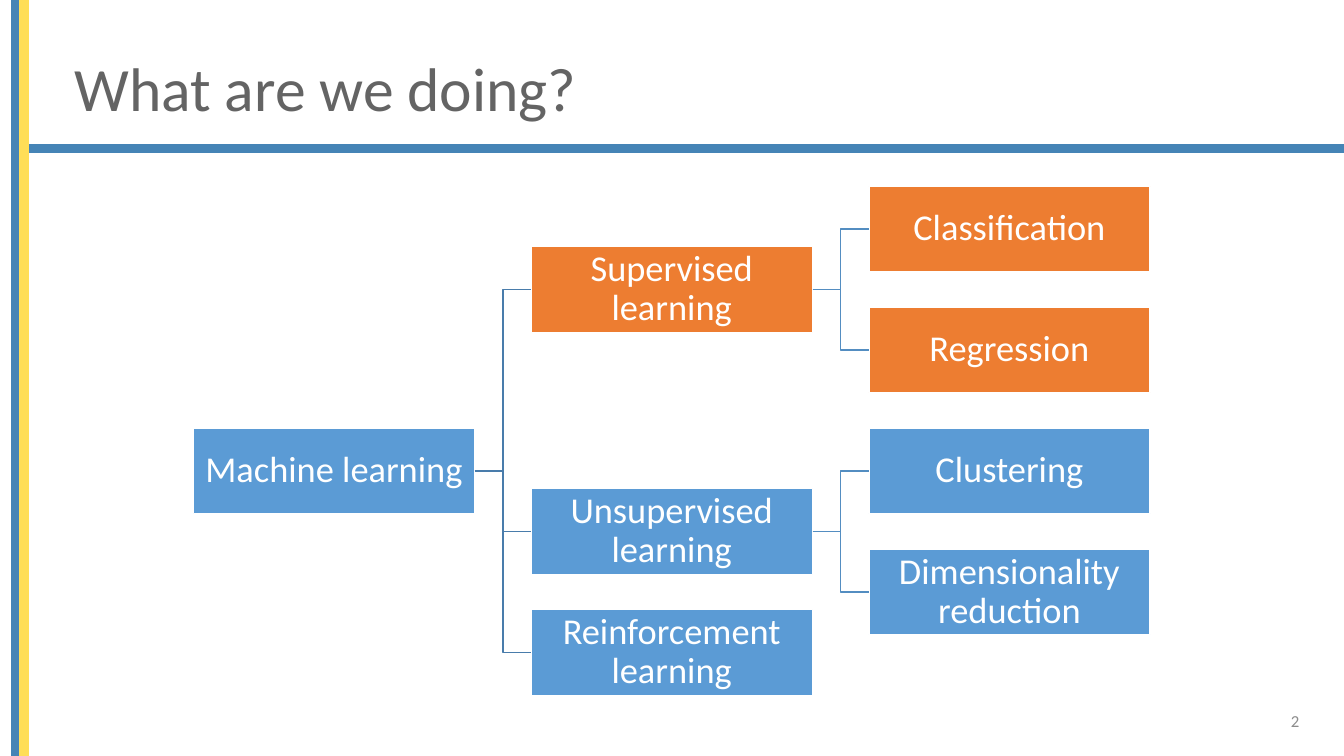
from pptx import Presentation
from pptx import util as u
from pptx.dml.color import RGBColor
from pptx.enum import shapes, text
from pptx.oxml.ns import qn
from lxml import etree

Pt = u.Pt
BLUE_BAR = RGBColor(0x45, 0x84, 0xB6)
YELLOW_BAR = RGBColor(0xFF, 0xDE, 0x57)
TITLE_GREY = RGBColor(0x64, 0x64, 0x64)
NUMBER_GREY = RGBColor(0x8C, 0x8C, 0x8C)
WHITE = RGBColor(0xFF, 0xFF, 0xFF)
BLUE = RGBColor(0x5B, 0x9B, 0xD5)
ORANGE = RGBColor(0xED, 0x7D, 0x31)
BRANCH_LINES = [RGBColor(0x49, 0x7C, 0xAB), RGBColor(0x53, 0x8D, 0xC1)]

deck = Presentation()
deck.slide_width, deck.slide_height = Pt(960), Pt(540)
slide = deck.slides.add_slide(deck.slide_layouts[6])


def add_box(left, top, width, height, fill, line):
    box = slide.shapes.add_shape(
        shapes.MSO_SHAPE.RECTANGLE, Pt(left), Pt(top), Pt(width), Pt(height))
    box.shadow.inherit = False
    box.fill.solid()
    box.fill.fore_color.rgb = fill
    box.line.color.rgb = line
    box.line.width = Pt(1)
    return box


def write(shape, words, size, color, align, spacing=0.9, inset=None):
    frame = shape.text_frame
    frame.word_wrap = True
    frame.vertical_anchor = text.MSO_ANCHOR.MIDDLE
    if inset is not None:
        frame.margin_left = frame.margin_right = Pt(inset)
        frame.margin_top = frame.margin_bottom = Pt(inset)
    paragraph = frame.paragraphs[0]
    paragraph.alignment = align
    paragraph.line_spacing = spacing
    run = paragraph.add_run()
    run.text = words
    run.font.name = "Calibri"
    run.font.size = Pt(size)
    run.font.color.rgb = color


for left, top, width, height, color in [
    (13.3, 103.3, 946.7, 5.8, BLUE_BAR),
    (8.6, 0, 5.8, 540, BLUE_BAR),
    (14.4, 0, 5.8, 540, YELLOW_BAR),
]:
    add_box(left, top, width, height, color, color)

title = slide.shapes.add_textbox(Pt(46), Pt(28.8), Pt(848), Pt(72.7))
write(title, "What are we doing?", size=44, color=TITLE_GREY, align=text.PP_ALIGN.LEFT)

page_number = slide.shapes.add_textbox(Pt(719.3), Pt(500.4), Pt(216), Pt(28.8))
write(page_number, "2", size=12, color=NUMBER_GREY, align=text.PP_ALIGN.RIGHT, spacing=1)

TREE_LEFT, TREE_TOP = 138.2, 133
BOX_WIDTH, BOX_HEIGHT = 201, 61.2
COLUMN_STEP, HALF_ROW = 241.2, 43.2

topics = [
    ("Machine learning", None, 0, 4, BLUE),
    ("Supervised learning", "Machine learning", 1, 1, ORANGE),
    ("Classification", "Supervised learning", 2, 0, ORANGE),
    ("Regression", "Supervised learning", 2, 2, ORANGE),
    ("Unsupervised learning", "Machine learning", 1, 5, BLUE),
    ("Clustering", "Unsupervised learning", 2, 4, BLUE),
    ("Dimensionality reduction", "Unsupervised learning", 2, 6, BLUE),
    ("Reinforcement learning", "Machine learning", 1, 7, BLUE),
]
topic_boxes = {}
for topic, parent, column, row, color in topics:
    box = add_box(TREE_LEFT + column * COLUMN_STEP, TREE_TOP + row * HALF_ROW,
                  BOX_WIDTH, BOX_HEIGHT, color, WHITE)
    write(box, topic, size=26, color=WHITE, align=text.PP_ALIGN.CENTER, inset=1.3)
    topic_boxes[topic] = box
    if parent:
        branch = slide.shapes.add_connector(shapes.MSO_CONNECTOR.ELBOW, 0, 0, 0, 0)
        branch.begin_connect(topic_boxes[parent], 3)
        branch.end_connect(box, 1)
        branch.line.color.rgb = BRANCH_LINES[column - 1]
        branch.line.width = Pt(1)
        etree.SubElement(branch._element.spPr, qn("a:effectLst"))

deck.save("out.pptx")
